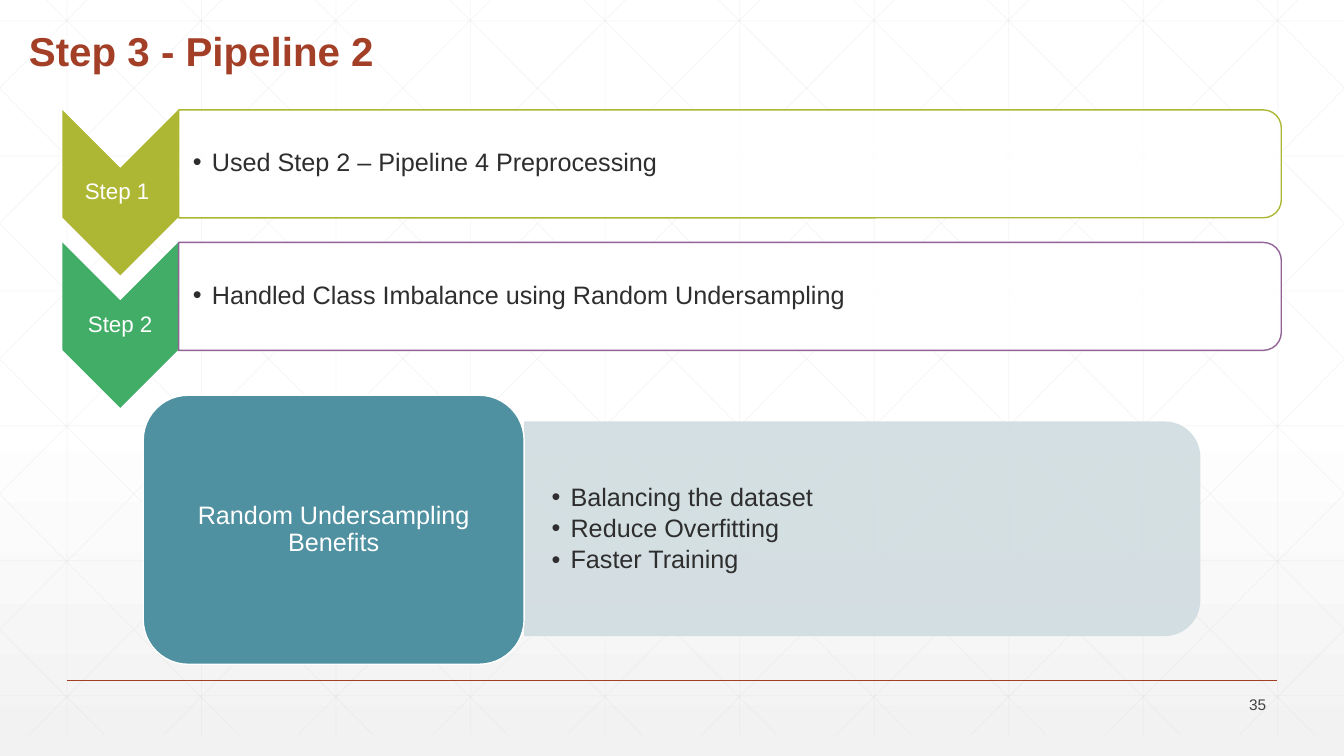
from dataclasses import dataclass

from lxml.etree import SubElement
from pptx import Presentation
from pptx.dml.color import RGBColor
from pptx.enum.shapes import MSO_CONNECTOR, MSO_SHAPE
from pptx.enum.text import MSO_ANCHOR, MSO_AUTO_SIZE, PP_ALIGN
from pptx.oxml.ns import qn
from pptx.util import Cm, Pt

SLIDE_W, SLIDE_H = 33.87, 19.05


@dataclass(frozen=True)
class Theme:
    font: str = "Arial"
    accent: str = "A43F27"
    white: str = "FFFFFF"
    fade: str = "F2F2F2"
    grid: str = "D9D9D9"
    olive: str = "AEB733"
    green: str = "42AD67"
    purple: str = "926397"
    teal: str = "4F91A1"
    pale: str = "D0DCE0"
    ink: str = "2D2E2D"
    grey: str = "424342"
    title: float = 28.8
    body: float = 18
    step: float = 16
    number: float = 11


THEME = Theme()


def rgb(value):
    return RGBColor.from_string(value)


def set_alpha(color_parent, percent):
    color = color_parent.find(".//" + qn("a:srgbClr"))
    SubElement(color, qn("a:alpha"), val=str(percent * 1000))


def add_bullet(p, indent=0.48):
    pPr = p._p.get_or_add_pPr()
    pPr.set("marL", str(Cm(indent)))
    pPr.set("indent", str(-Cm(indent)))
    SubElement(pPr, qn("a:buFont"), typeface=THEME.font)
    SubElement(pPr, qn("a:buChar"), char="•")


def write(tf, *lines, size=THEME.body, color=THEME.ink, bold=False,
          align=PP_ALIGN.LEFT, anchor=MSO_ANCHOR.MIDDLE,
          insets=(0.25, 0.13, 0.25, 0.13), after=0, bullets=False):
    """Fill a text frame, one paragraph a line; insets run left, top, right, bottom."""
    tf.word_wrap = True
    tf.auto_size = MSO_AUTO_SIZE.NONE
    tf.vertical_anchor = anchor
    tf.margin_left, tf.margin_top, tf.margin_right, tf.margin_bottom = map(Cm, insets)
    for i, line in enumerate(lines):
        p = tf.add_paragraph() if i else tf.paragraphs[0]
        p.alignment = align
        p.line_spacing = 0.9
        p.space_before, p.space_after = Pt(0), Pt(after)
        if bullets:
            add_bullet(p)
        r = p.add_run()
        r.text = line
        r.font.name, r.font.size, r.font.bold = THEME.font, Pt(size), bold
        r.font.color.rgb = rgb(color)


def add_text(s, box, *lines, **fmt):
    write(s.shapes.add_textbox(*map(Cm, box)).text_frame, *lines, **fmt)


def add_line(s, x1, y1, x2, y2, color, width, alpha=None):
    cx = s.shapes.add_connector(MSO_CONNECTOR.STRAIGHT, *map(Cm, (x1, y1, x2, y2)))
    cx.line.color.rgb = rgb(color)
    cx.line.width = Pt(width)
    spPr = cx.element.spPr
    if alpha:
        set_alpha(spPr, alpha)
    SubElement(spPr, qn("a:effectLst"))


def add_block(s, kind, box, fill, line=None, alpha=None):
    sp = s.shapes.add_shape(kind, *map(Cm, box))
    sp.shadow.inherit = False
    sp.fill.solid()
    sp.fill.fore_color.rgb = rgb(fill)
    if alpha:
        set_alpha(sp.element.spPr, alpha)
    if line:
        sp.line.color.rgb = rgb(line)
        sp.line.width = Pt(1)
    else:
        sp.line.fill.background()
    return sp


def add_turned(s, kind, box, *colors, **opts):
    """Add a shape turned by 90 degrees that covers the given box on the slide."""
    left, top, w, h = box
    unturned = (left + (w - h) / 2, top + (h - w) / 2, h, w)
    add_block(s, kind, unturned, *colors, **opts).rotation = 90


def add_background(s):
    fill = s.background.fill
    fill.gradient()
    fill.gradient_angle = 270
    stops = ((0.53, THEME.white), (1, THEME.fade))
    for stop, (position, color) in zip(fill.gradient_stops, stops):
        stop.position = position
        stop.color.rgb = rgb(color)


def add_grid(s):
    step, top, height, run = 3.39, -0.53, 19.05, 18.94
    lines = []
    for i in range(10):
        x = 1.69 + i * step
        lines.append((x, top, x, top + height))
    for i in range(6):
        y = 0.53 + i * 3.4
        lines.append((0, y, SLIDE_W, y))
    for i in range(-5, 10):
        x = 0.64 + i * step
        start, end = max(0, -x / run), min(1, (SLIDE_W - x) / run)
        x1, x2 = x + start * run, x + end * run
        y1, y2 = top + start * height, top + end * height
        lines += [(x1, y1, x2, y2), (SLIDE_W - x1, y1, SLIDE_W - x2, y2)]
    for ends in lines:
        add_line(s, *ends, THEME.grid, 0.5, alpha=25)


def add_title(s, text):
    title = s.shapes.title
    title.left, title.top, title.width, title.height = map(Cm, (0.48, 0.48, 26.67, 1.55))
    write(title.text_frame, text, size=THEME.title, color=THEME.accent,
          bold=True, anchor=MSO_ANCHOR.BOTTOM)
    s.shapes.element.append(title.element)  # in front of the grid


def add_step(s, y, label, text, fill, outline):
    add_turned(s, MSO_SHAPE.CHEVRON, (1.57, y, 2.92, 4.17), fill)
    add_text(s, (1.57, y + 1.46, 2.92, 1.24), label, size=THEME.step, color=THEME.white,
             align=PP_ALIGN.CENTER, insets=(0.13, 0.08, 0.13, 0.08))
    add_turned(s, MSO_SHAPE.ROUND_2_SAME_RECTANGLE, (4.5, y, 27.79, 2.72),
               THEME.white, outline, alpha=90)
    add_text(s, (4.5, y + 0.13, 27.66, 2.44), text, bullets=True, after=3,
             insets=(0.36, 0.03, 0.03, 0.03))


def add_benefits(s, heading, *benefits):
    add_turned(s, MSO_SHAPE.ROUND_2_SAME_RECTANGLE, (13.21, 10.62, 17.04, 5.41),
               THEME.pale, alpha=90)
    add_text(s, (13.21, 10.9, 16.79, 4.88), *benefits, bullets=True, after=3,
             insets=(0.69, 0.36, 0.69, 0.36))
    card = add_block(s, MSO_SHAPE.ROUNDED_RECTANGLE, (3.61, 9.96, 9.6, 6.78),
                     THEME.teal, THEME.white)
    write(card.text_frame, heading, color=THEME.white, align=PP_ALIGN.CENTER,
          insets=(0.18, 0.1, 0.18, 0.1))


def main():
    prs = Presentation()
    prs.slide_width, prs.slide_height = Cm(SLIDE_W), Cm(SLIDE_H)
    s = prs.slides.add_slide(prs.slide_layouts[5])
    add_background(s)
    add_grid(s)
    add_line(s, 1.69, 17.15, 32.18, 17.15, THEME.accent, 1)
    add_title(s, "Step 3 - Pipeline 2")
    steps = (
        ("Step 1 ", "Used Step 2 – Pipeline 4 Preprocessing", THEME.olive, THEME.olive),
        ("Step 2", "Handled Class Imbalance using Random Undersampling",
         THEME.green, THEME.purple),
    )
    for i, step in enumerate(steps):
        add_step(s, 2.77 + i * 3.34, *step)
    add_text(s, (29.62, 17.48, 2.54, 0.61), "35", size=THEME.number,
             color=THEME.grey, align=PP_ALIGN.RIGHT)
    add_benefits(s, "Random Undersampling Benefits", "Balancing the dataset",
                 "Reduce Overfitting", "Faster Training")
    prs.save("out.pptx")


if __name__ == "__main__":
    main()
